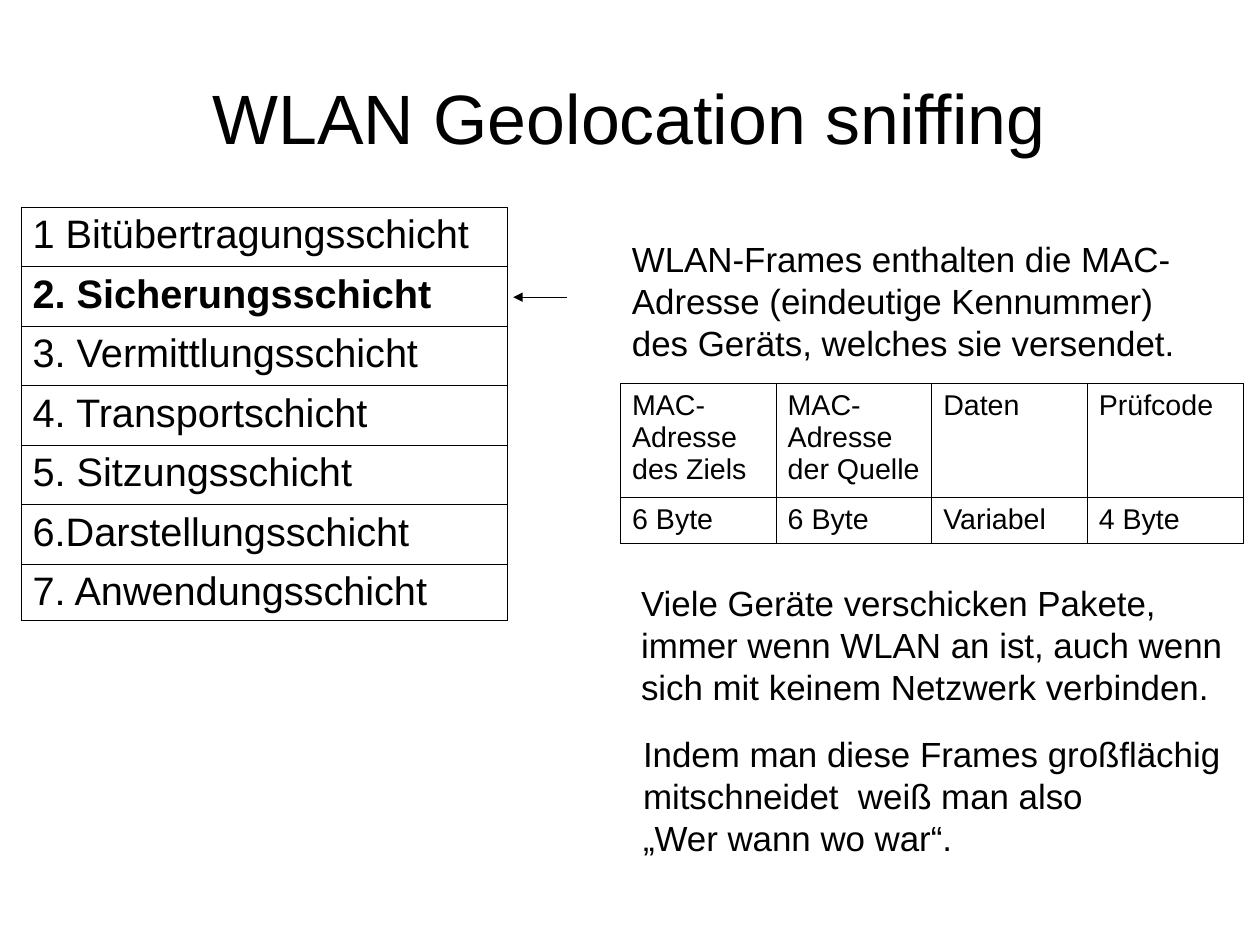
from dataclasses import dataclass

from lxml.etree import SubElement
from pptx import Presentation
from pptx.dml.color import RGBColor
from pptx.enum.shapes import MSO_CONNECTOR as Connector
from pptx.enum.text import MSO_ANCHOR as Anchor, MSO_AUTO_SIZE as AutoSize, PP_ALIGN as Align
from pptx.oxml.ns import qn
from pptx.util import Pt


@dataclass(frozen=True)
class Theme:
    font: str = "Arial"
    ink: str = "000000"
    title_size: float = 44
    layer_size: float = 25
    body_size: float = 22
    frame_size: float = 18
    border: float = 0.57
    inset_x: float = 7.2
    inset_y: float = 3.6


THEME = Theme()

LAYERS = [
    "1 Bitübertragungsschicht",
    "2. Sicherungsschicht",
    "3. Vermittlungsschicht",
    "4. Transportschicht",
    "5. Sitzungsschicht",
    "6.Darstellungsschicht",
    "7. Anwendungsschicht",
]
HIGHLIGHTED = "2. Sicherungsschicht"

FRAME_FIELDS = [
    ["MAC-Adresse des Ziels", "MAC-Adresse der Quelle", "Daten", "Prüfcode"],
    ["6 Byte", "6 Byte", "Variabel", "4 Byte"],
]

# Left, top, width and lines of each explanation
EXPLANATIONS = [
    (391, 146.2, 357, ["WLAN-Frames enthalten die MAC-",
                       "Adresse (eindeutige Kennummer)",
                       "des Geräts, welches sie versendet."]),
    (396.7, 362.9, 385.2, ["Viele Geräte verschicken Pakete,",
                           "immer wenn WLAN an ist, auch wenn",
                           "sich mit keinem Netzwerk verbinden."]),
    (398, 457.9, 378.7, ["Indem man diese Frames großflächig",
                         "mitschneidet  weiß man also",
                         "„Wer wann wo war“."]),
]


def add_text(para, text, size, bold=False):
    run = para.add_run()
    run.text = text
    run.font.name = THEME.font
    run.font.size = Pt(size)
    run.font.bold = bold
    run.font.color.rgb = RGBColor.from_string(THEME.ink)


def set_insets(target, x, y):
    target.margin_left = target.margin_right = Pt(x)
    target.margin_top = target.margin_bottom = Pt(y)


def set_title(page, text):
    title = page.shapes.title
    title.left, title.top, title.width, title.height = Pt(39.6), Pt(23.8), Pt(714.2), Pt(99.4)
    frame = title.text_frame
    frame.vertical_anchor = Anchor.MIDDLE
    set_insets(frame, 0, 0)
    para = frame.paragraphs[0]
    para.alignment = Align.CENTER
    add_text(para, text, THEME.title_size)


def add_borders(cell):
    properties = cell._tc.get_or_add_tcPr()
    for position, side in enumerate(("lnL", "lnR", "lnT", "lnB")):
        line = SubElement(properties, qn(f"a:{side}"), w=str(Pt(THEME.border)))
        fill = SubElement(line, qn("a:solidFill"))
        SubElement(fill, qn("a:srgbClr"), val=THEME.ink)
        properties.insert(position, line)


def add_grid(page, left, top, width, row_heights, rows, size):
    columns = len(rows[0])
    table = page.shapes.add_table(len(rows), columns, Pt(left), Pt(top),
                                  Pt(width), Pt(sum(row_heights))).table
    table.first_row = table.horz_banding = False
    for column in table.columns:
        column.width = Pt(width / columns)
    for row, height, texts in zip(table.rows, row_heights, rows):
        row.height = Pt(height)
        for cell, text in zip(row.cells, texts):
            cell.fill.background()
            add_borders(cell)
            set_insets(cell, THEME.inset_x, THEME.inset_y)
            add_text(cell.text_frame.paragraphs[0], text, size, text == HIGHLIGHTED)


def add_explanation(page, left, top, width, lines):
    box = page.shapes.add_textbox(Pt(left), Pt(top), Pt(width), Pt(80.6))
    frame = box.text_frame
    frame.word_wrap = False
    frame.auto_size = AutoSize.SHAPE_TO_FIT_TEXT
    set_insets(frame, THEME.inset_x, THEME.inset_y)
    para = frame.paragraphs[0]
    for number, line in enumerate(lines):
        if number:
            para.add_line_break()
        add_text(para, line, THEME.body_size)


def add_arrow(page, start_x, end_x, y):
    arrow = page.shapes.add_connector(Connector.STRAIGHT, Pt(start_x), Pt(y), Pt(end_x), Pt(y))
    arrow.line.color.rgb = RGBColor.from_string(THEME.ink)
    # A written zero width keeps the hairline from taking the style's width
    outline = arrow.line._get_or_add_ln()
    outline.set("w", "0")
    SubElement(outline, qn("a:tailEnd"), type="triangle")
    SubElement(arrow._element.spPr, qn("a:effectLst"))


def main():
    deck = Presentation()
    deck.slide_width, deck.slide_height = Pt(793.7), Pt(595.28)
    page = deck.slides.add_slide(deck.slide_layouts[5])
    set_title(page, "WLAN Geolocation sniffing")

    # Network layers, with an arrow at the highlighted one
    add_grid(page, 13.4, 130.5, 306, [37.5] * 6 + [35.3],
             [[layer] for layer in LAYERS], THEME.layer_size)
    add_arrow(page, 357.1, 323.3, 187.2)

    # Structure of a frame
    add_grid(page, 391, 241.8, 392, [71.8, 29], FRAME_FIELDS, THEME.frame_size)

    # Explanations
    for explanation in EXPLANATIONS:
        add_explanation(page, *explanation)

    deck.save("out.pptx")


if __name__ == "__main__":
    main()
